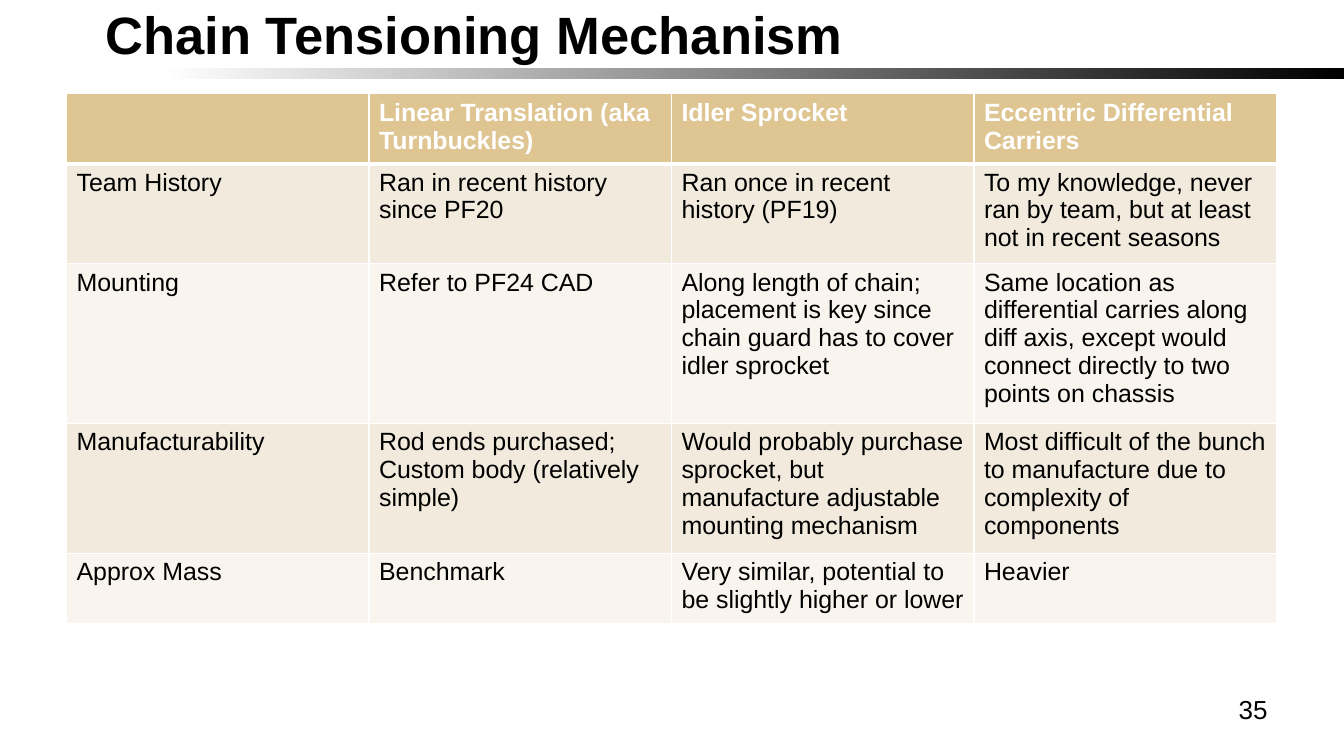
from pptx import Presentation, util as u
from pptx.dml.color import RGBColor
from pptx.enum import shapes, text
from pptx.oxml import parse_xml
from pptx.oxml.ns import nsdecls

WIDE, HIGH = 13.33, 7.5
BLACK, WHITE = "000000", "FFFFFF"
HEAD, BANDS = "DEC592", ("F2EADC", "F9F5EE")
COLS, COL, ROW = 4, 3, 0.41

ROWS = [
    ["", "Linear Translation (aka Turnbuckles)", "Idler Sprocket",
     "Eccentric Differential Carriers"],
    ["Team History", "Ran in recent history since PF20",
     "Ran once in recent history (PF19)",
     "To my knowledge, never ran by team, but at least not in recent seasons"],
    ["Mounting", "Refer to PF24 CAD",
     "Along length of chain; placement is key since chain guard has to cover "
     "idler sprocket",
     "Same location as differential carries along diff axis, except would "
     "connect directly to two points on chassis"],
    ["Manufacturability", "Rod ends purchased; Custom body (relatively simple)",
     "Would probably purchase sprocket, but manufacture adjustable mounting "
     "mechanism",
     "Most difficult of the bunch to manufacture due to complexity of "
     "components"],
    ["Approx Mass", "Benchmark",
     "Very similar, potential to be slightly higher or lower", "Heavier"],
]


def paint(color, tone):
    color.rgb = RGBColor.from_string(tone)


def style(para, size, tone=BLACK, bold=False):
    font = para.font
    for item in [font] + [run.font for run in para.runs]:
        item.name, item.size, item.bold = "Arial", u.Pt(size), bold
        paint(item.color, tone)


def inset(frame, left, top, right, bottom):
    frame.margin_left, frame.margin_top = u.Inches(left), u.Inches(top)
    frame.margin_right, frame.margin_bottom = u.Inches(right), u.Inches(bottom)


def place(left, top, width, height):
    return [u.Inches(n) for n in (left, top, width, height)]


# Gradient rule under the title
def add_rule(slide):
    bar = slide.shapes.add_shape(
        shapes.MSO_SHAPE.RECTANGLE, *place(0, 0.67, WIDE, 0.11))
    bar.shadow.inherit = False
    bar.line.fill.background()
    bar.fill.gradient()
    bar.fill.gradient_angle = 180
    for stop, tone, at in zip(bar.fill.gradient_stops, (BLACK, WHITE), (0, 0.88)):
        paint(stop.color, tone)
        stop.position = at


def set_title(slide, words):
    title = slide.shapes.title
    title.left, title.top, title.width, title.height = place(
        WIDE / 20, 0.22, WIDE * 0.65, 0.43)
    frame = title.text_frame
    frame.text = words
    frame.auto_size = text.MSO_AUTO_SIZE.NONE
    frame.vertical_anchor = text.MSO_ANCHOR.BOTTOM
    inset(frame, 0.38, 0.05, 0.1, 0)
    para = frame.paragraphs[0]
    para.alignment = text.PP_ALIGN.LEFT
    style(para, 37.5, bold=True)


def add_number(slide, words):
    box = slide.shapes.add_textbox(*place(9.56, 6.83, 3.11, 0.52))
    frame = box.text_frame
    frame.word_wrap = True
    frame.text = words
    para = frame.paragraphs[0]
    para.alignment = text.PP_ALIGN.RIGHT
    style(para, 18.6)


# Borders must come before the fill in a cell
def edge(cell, low):
    props = cell._tc.get_or_add_tcPr()
    for side, width in zip("LRTB", (1, 1, 1, low)):
        props.append(parse_xml(
            f'<a:ln{side} {nsdecls("a")} w="{u.Pt(width)}"><a:solidFill>'
            f'<a:srgbClr val="{WHITE}"/></a:solidFill></a:ln{side}>'))


def fill_cell(cell, words, row):
    head = row == 0
    edge(cell, 3 if head else 1)
    cell.fill.solid()
    paint(cell.fill.fore_color, HEAD if head else BANDS[(row - 1) % 2])
    cell.text_frame.text = words
    style(cell.text_frame.paragraphs[0], 17.8, WHITE if head else BLACK, head)


def add_grid(slide):
    table = slide.shapes.add_table(
        len(ROWS), COLS, *place(0.66, 0.93, COLS * COL, len(ROWS) * ROW)).table
    for r, line in enumerate(ROWS):
        for c, words in enumerate(line):
            fill_cell(table.cell(r, c), words, r)


def main():
    deck = Presentation()
    deck.slide_width, deck.slide_height = u.Inches(WIDE), u.Inches(HIGH)
    slide = deck.slides.add_slide(deck.slide_layouts.get_by_name("Title Only"))
    add_rule(slide)
    set_title(slide, "Chain Tensioning Mechanism")
    add_number(slide, "35")
    add_grid(slide)
    deck.save("out.pptx")


if __name__ == "__main__":
    main()
